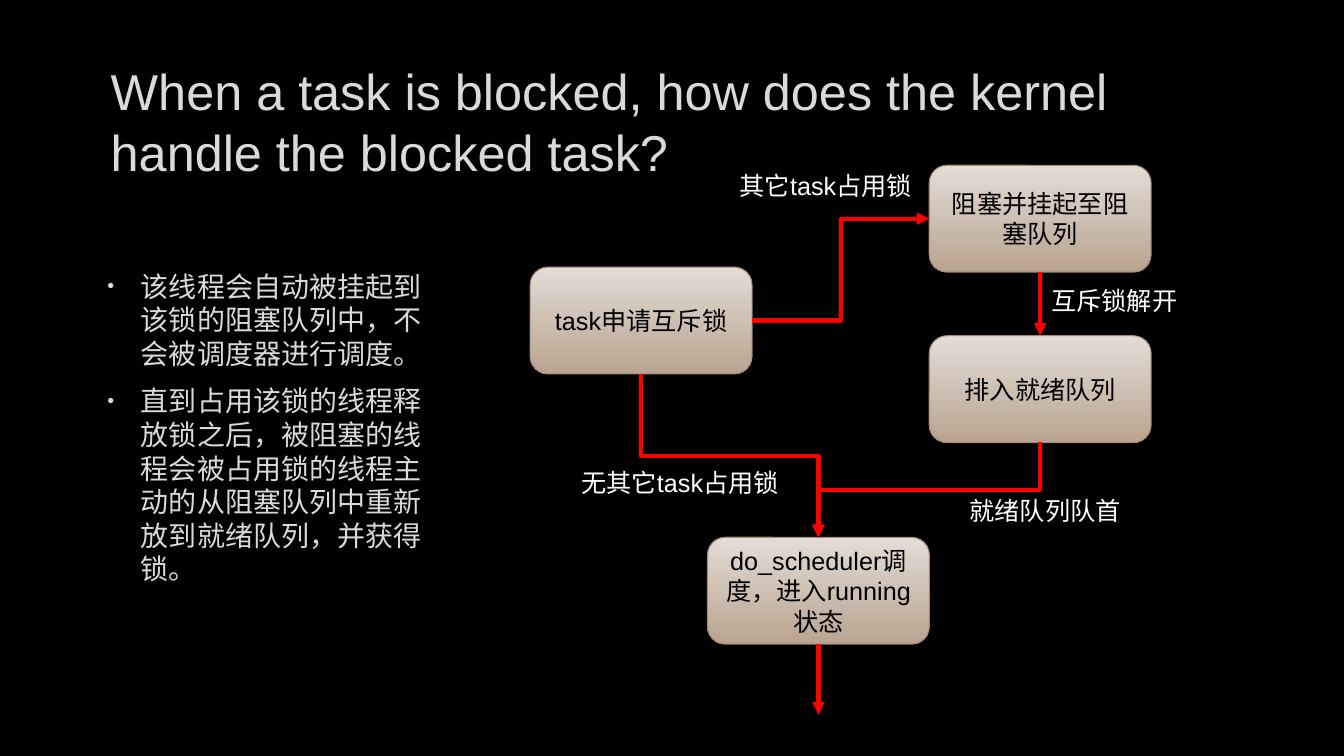
from lxml.etree import SubElement
from pptx import Presentation
from pptx.dml.color import RGBColor
from pptx.enum.shapes import MSO_CONNECTOR, MSO_SHAPE
from pptx.enum.text import MSO_ANCHOR, PP_ALIGN
from pptx.oxml.ns import qn
from pptx.util import Pt

BOX_W, BOX_H = 158.5, 76.3
TOP, LEFT, BOTTOM, RIGHT = range(4)
SANS, HAN = "Arial", "Noto Sans CJK SC"
WHITE, GREY, BLACK, RED = "FFFFFF", "DADADA", "000000", "FF0000"

POINTS = [
    "该线程会自动被挂起到该锁的阻塞队列中，不会被调度器进行调度。",
    "直到占用该锁的线程释放锁之后，被阻塞的线程会被占用锁的线程主动的从阻塞队列中重新放到就绪队列，并获得锁。",
]
# Boxes: name -> left, top, text
STEPS = {
    "ask": (378.7, 190.8, "task申请互斥锁"),
    "run": (505.4, 383.8, "do_scheduler调度，进入running状态"),
    "block": (663.8, 118.1, "阻塞并挂起至阻塞队列"),
    "ready": (663.8, 239.8, "排入就绪队列"),
}
# Links: from box, side, to box, side
LINKS = [
    ("ask", RIGHT, "block", LEFT),
    ("block", BOTTOM, "ready", TOP),
    ("ready", BOTTOM, "run", TOP),
    ("ask", BOTTOM, "run", TOP),
]
# Labels: left, top, width, text
LABELS = [
    (521.3, 118.1, 137.5, "其它task占用锁"),
    (743.8, 200.2, 137.5, "互斥锁解开"),
    (685.4, 349.9, 137.5, "就绪队列队首"),
    (408.2, 330.5, 165, "无其它task占用锁"),
]


def paint(text):
    return RGBColor.from_string(text)


def apply(item, form):
    for key, value in form.items():
        setattr(item, key, value)


def write(frame, texts, size, color, face=SANS, anchor=MSO_ANCHOR.TOP, **form):
    apply(frame, {"word_wrap": True, "vertical_anchor": anchor})
    for num, text in enumerate(texts):
        para = frame.add_paragraph() if num else frame.paragraphs[0]
        apply(para, form)
        run = para.add_run()
        run.text = text
        apply(run.font, {"size": Pt(size), "name": face})
        run.font.color.rgb = paint(color)
        SubElement(run.font._element, qn("a:ea"), typeface=HAN)


def add_text(slide, left, top, width, height, texts, size, color, **form):
    area = slide.shapes.add_textbox(Pt(left), Pt(top), Pt(width), Pt(height))
    write(area.text_frame, texts, size, color, **form)
    return area


def add_bullets(frame):
    for para in frame.paragraphs:
        props = para._p.get_or_add_pPr()
        props.set("marL", str(Pt(27.4)))
        props.set("indent", str(-Pt(24)))
        tint = SubElement(props, qn("a:buClr"))
        SubElement(tint, qn("a:srgbClr"), val=GREY)
        SubElement(props, qn("a:buSzPct"), val="70000")
        SubElement(props, qn("a:buFont"), typeface=SANS)
        SubElement(props, qn("a:buChar"), char="•")


def add_box(slide, left, top, text):
    box = slide.shapes.add_shape(
        MSO_SHAPE.ROUNDED_RECTANGLE, Pt(left), Pt(top), Pt(BOX_W), Pt(BOX_H))
    box.shadow.inherit = False
    box.fill.gradient()
    box.fill.gradient_angle = 270
    for stop, color in zip(box.fill.gradient_stops, ("E3DCD5", "B9A491")):
        stop.color.rgb = paint(color)
    box.line.color.rgb = paint("A58B72")
    box.line.width = Pt(0.75)
    write(box.text_frame, [text], 18, BLACK, anchor=MSO_ANCHOR.MIDDLE,
          alignment=PP_ALIGN.CENTER)
    return box


def add_arrow(slide, start, end, kind=MSO_CONNECTOR.STRAIGHT):
    arrow = slide.shapes.add_connector(kind, *start, *end)
    arrow.line.color.rgb = paint(RED)
    arrow.line.width = Pt(3)
    SubElement(arrow.line._get_or_add_ln(), qn("a:tailEnd"), type="triangle")
    SubElement(arrow._element.spPr, qn("a:effectLst"))
    return arrow


def find_side(box, side):
    across = {LEFT: 0, RIGHT: box.width}.get(side, box.width // 2)
    down = {TOP: 0, BOTTOM: box.height}.get(side, box.height // 2)
    return box.left + across, box.top + down


def turn_elbow(arrow, start, end):
    """Make an elbow leave and arrive vertically."""
    wide, high = abs(end[0] - start[0]), end[1] - start[1]
    mid_x, mid_y = (start[0] + end[0]) // 2, (start[1] + end[1]) // 2
    apply(arrow, {"left": mid_x - high // 2, "top": mid_y - wide // 2,
                  "width": high, "height": wide})
    frame = arrow._element.spPr.find(qn("a:xfrm"))
    right = end[0] > start[0]
    frame.set("rot", str((270 if right else 90) * 60000))
    frame.set("flipH", str(int(right)))
    frame.set("flipV", "0")


def link(slide, first, out, last, into):
    start, end = find_side(first, out), find_side(last, into)
    bent = start[0] != end[0]
    kind = MSO_CONNECTOR.ELBOW if bent else MSO_CONNECTOR.STRAIGHT
    arrow = add_arrow(slide, start, end, kind)
    arrow.begin_connect(first, out)
    arrow.end_connect(last, into)
    if bent and out == BOTTOM:
        turn_elbow(arrow, start, end)


def main():
    deck = Presentation()
    apply(deck, {"slide_width": Pt(960), "slide_height": Pt(540)})
    slide = deck.slides.add_slide(deck.slide_layouts[6])
    slide.background.fill.solid()
    slide.background.fill.fore_color.rgb = paint(BLACK)

    # Title and bullet points
    add_text(slide, 72, 48.2, 815, 76.3,
             ["When a task is blocked, how does the kernel handle the blocked task?"],
             36, GREY, anchor=MSO_ANCHOR.MIDDLE)
    notes = add_text(slide, 66.2, 188.6, 248.4, 234, POINTS, 20, GREY, face=HAN,
                     space_before=Pt(4), space_after=Pt(6), line_spacing=Pt(24))
    add_bullets(notes.text_frame)

    # Flow chart
    boxes = {name: add_box(slide, *step) for name, step in STEPS.items()}
    for first, out, last, into in LINKS:
        link(slide, boxes[first], out, boxes[last], into)

    # Way out of the last step
    start = find_side(boxes["run"], BOTTOM)
    leave = add_arrow(slide, start, (start[0], start[1] + Pt(50.4)))
    leave.begin_connect(boxes["run"], BOTTOM)

    # Labels beside the arrows
    for left, top, width, text in LABELS:
        add_text(slide, left, top, width, 29, [text], 18, WHITE)

    deck.save("out.pptx")


if __name__ == "__main__":
    main()
